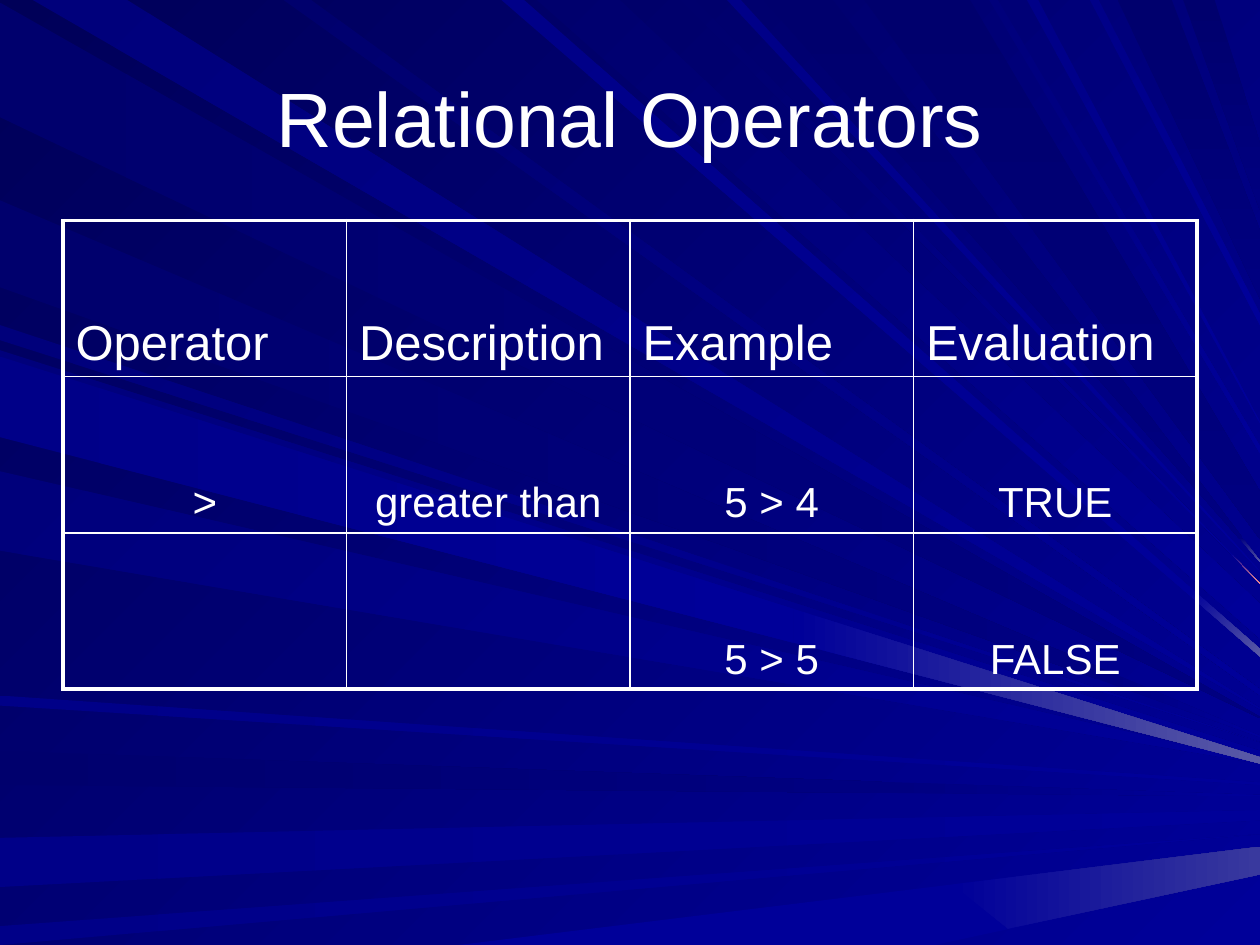
import lxml.etree
import pptx
import pptx.dml.color
import pptx.enum.text
import pptx.oxml.ns
import pptx.util

Inches = pptx.util.Inches
Pt = pptx.util.Pt
qn = pptx.oxml.ns.qn
ALIGN = pptx.enum.text.PP_ALIGN
ANCHOR = pptx.enum.text.MSO_ANCHOR

FONT = "Arial"
WHITE = "FFFFFF"
TITLE = "Relational Operators"
OPERATORS = [
    ["Operator", "Description", "Example", "Evaluation"],
    [">", "greater than", "5 > 4", "TRUE"],
    ["", "", "5 > 5", "FALSE"],
]
COLUMN_WIDTH, ROW_HEIGHT = 2.25, 1.24
OUTER_BORDER, INNER_BORDER = 2.25, 1
SLIDE_WIDTH, SLIDE_HEIGHT = 10, 7.5

MIDNIGHT, DEEP, MID, DIM = "000058", "00006D", "00007B", "000088"
NAVY, BLUE, HAZE, PINK = "000080", "000099", "5A5AA6", "FF9999"

RAYS = [
    ("left", (0.02, 0.93), (5.69, 5.7), [DEEP, NAVY]),
    ("top", (0.26, 1.01), (5.63, 5.62), [MID, BLUE]),
    ("left", (5.96, 6.23), (6.31, 6.32), [DEEP, NAVY, BLUE], 0.7),
    ("left", (6.65, 7.04), (6.43, 6.51), [DIM, BLUE]),
    ("left", (7.35, 7.5), (6.62, 6.62), [DIM, BLUE]),
    ("bottom", (3.64, 7.42), (6.72, 6.94), [BLUE]),
    ("left", (2.58, 2.7), (5.89, 5.89), [MID, BLUE]),
    ("left", (1.59, 2.28), (5.84, 5.85), [DEEP, NAVY, BLUE], 0.87),
    ("top", (3.98, 4.16), (5.21, 5.15), [DIM, BLUE, HAZE], 0.91),
    ("top", (4.26, 4.92), (5.07, 4.79), [DEEP, BLUE]),
    ("top", (5.4, 5.52), (4.63, 4.63), [DEEP, BLUE, PINK], 0.95),
    ("top", (6.06, 6.61), (4.46, 4.45), [DEEP, NAVY, HAZE], 0.96),
    ("top", (8.87, 9.3), (2.37, 1.83), [DEEP, NAVY]),
    ("top", (9.39, 9.64), (1.67, 1.14), [DEEP, NAVY]),
    ("left", (2.78, 3.42), (5.96, 6.02), [MID, BLUE]),
    ("left", (3.74, 4.37), (6.05, 6.06), [MID, BLUE]),
    ("left", (5.52, 5.6), (6.21, 6.23), [DIM, BLUE]),
    ("top", (2.25, 2.47), (5.52, 5.47), [DEEP, BLUE]),
    ("top", (5.77, 5.88), (4.54, 4.53), [DIM, BLUE]),
    ("top", (6.86, 7.7), (4.28, 3.9), [DEEP, NAVY]),
    ("top", (7.85, 7.92), (3.6, 3.54), [MID, BLUE]),
    ("top", (8.15, 8.24), (3.36, 3.35), [DIM, BLUE]),
    ("top", (8.65, 8.72), (2.58, 2.49), [DIM, BLUE]),
    ("left", (2.83, 3.47), (6.01, 6.06), [DIM, BLUE, HAZE], 0.63),
]
GLEAM = [(10, 6.94), (10, 6.72), (7.56, 7.02), (8, 7.37)]


def rgb(value):
    return pptx.dml.color.RGBColor.from_string(value)


def paint(fill, colors, clockwise_angle):
    if len(colors) == 1:
        fill.solid()
        fill.fore_color.rgb = rgb(colors[0])
        return
    fill.gradient()
    fill.gradient_angle = (360 - clockwise_angle) % 360
    for stop, color in zip(fill.gradient_stops, colors):
        stop.color.rgb = rgb(color)


def add_polygon(slide, points, colors, angle):
    corners = [(Inches(x), Inches(y)) for x, y in points]
    builder = slide.shapes.build_freeform(*corners[0], scale=1.0)
    builder.add_line_segments(corners[1:], close=True)
    polygon = builder.convert_to_shape()
    polygon.shadow.inherit = False
    polygon.line.fill.background()
    paint(polygon.fill, colors, angle)


def ray_angle(edge, colors):
    if edge == "top" and colors[1] == NAVY:
        return 90
    if edge == "left" and colors[0] != MID:
        return 0
    return 45


def between(start, end, share):
    return tuple(a + (b - a) * share for a, b in zip(start, end))


def add_ray(slide, edge, sources, tips, colors, split=1):
    place = {"left": lambda d: (0, d),
             "top": lambda d: (d, 0),
             "bottom": lambda d: (d, SLIDE_HEIGHT)}[edge]
    first, second = [(place(d), (SLIDE_WIDTH, tip)) for d, tip in zip(sources, tips)]
    angle = ray_angle(edge, colors) if len(colors) > 1 else 0
    cuts = [0, split] if split == 1 else [0, split, 1]
    for part, (near, far) in enumerate(zip(cuts, cuts[1:])):
        points = [between(*first, near), between(*second, near),
                  between(*second, far), between(*first, far)]
        add_polygon(slide, points, colors[part:part + 2], angle)


def write(paragraph, text, size, align):
    paragraph.text = text
    paragraph.alignment = align
    paragraph.font.name = FONT
    paragraph.font.size = Pt(size)
    paragraph.font.color.rgb = rgb(WHITE)


def add_title(slide):
    title = slide.shapes.add_textbox(Inches(0.5), Inches(0.3), Inches(9), Inches(1.25))
    title.text_frame.word_wrap = True
    title.text_frame.vertical_anchor = ANCHOR.MIDDLE
    write(title.text_frame.paragraphs[0], TITLE, 44, ALIGN.CENTER)


def set_border(cell, side, width):
    properties = cell._tc.get_or_add_tcPr()
    line = lxml.etree.SubElement(properties, qn(f"a:ln{side}"), w=str(Pt(width)))
    fill = lxml.etree.SubElement(line, qn("a:solidFill"))
    lxml.etree.SubElement(fill, qn("a:srgbClr"), val=WHITE)


def add_operator_table(slide):
    row_count, column_count = len(OPERATORS), len(OPERATORS[0])
    table = slide.shapes.add_table(
        row_count, column_count, Inches(0.5), Inches(1.75),
        Inches(COLUMN_WIDTH * column_count), Inches(ROW_HEIGHT * row_count)).table
    table.first_row = table.horz_banding = False
    for r, row in enumerate(OPERATORS):
        for c, text in enumerate(row):
            cell = table.cell(r, c)
            on_edge = {"L": c == 0, "R": c == column_count - 1,
                       "T": r == 0, "B": r == row_count - 1}
            for side, outer in on_edge.items():
                set_border(cell, side, OUTER_BORDER if outer else INNER_BORDER)
            cell.fill.background()
            cell.vertical_anchor = ANCHOR.BOTTOM
            size, align = (28, ALIGN.LEFT) if r == 0 else (24, ALIGN.CENTER)
            write(cell.text_frame.paragraphs[0], text, size, align)


def main():
    presentation = pptx.Presentation()
    presentation.slide_width = Inches(SLIDE_WIDTH)
    presentation.slide_height = Inches(SLIDE_HEIGHT)
    slide = presentation.slides.add_slide(presentation.slide_layouts[6])
    paint(slide.background.fill, [MIDNIGHT, BLUE], 45)
    for ray in RAYS:
        add_ray(slide, *ray)
        if ray[0] == "bottom":
            add_polygon(slide, GLEAM, [BLUE, "39399E"], 0)
    add_title(slide)
    add_operator_table(slide)
    presentation.save("out.pptx")


if __name__ == "__main__":
    main()
